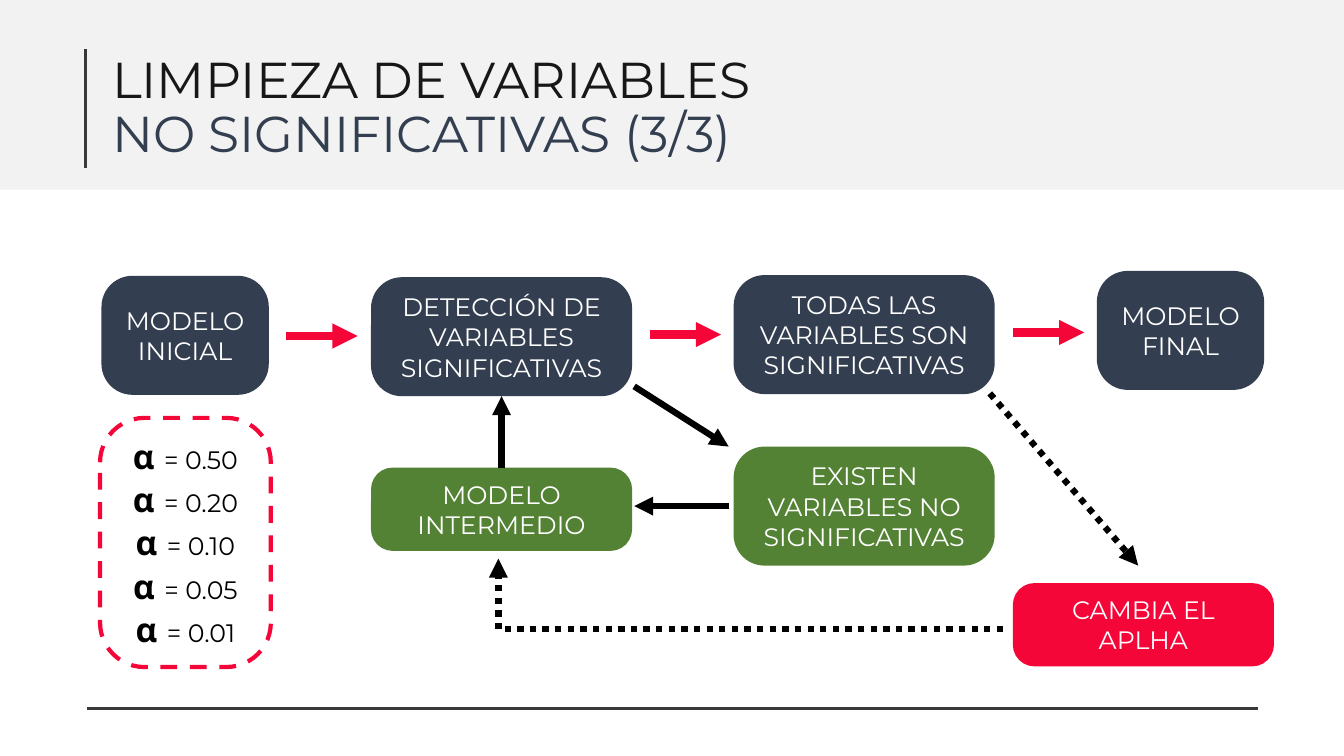
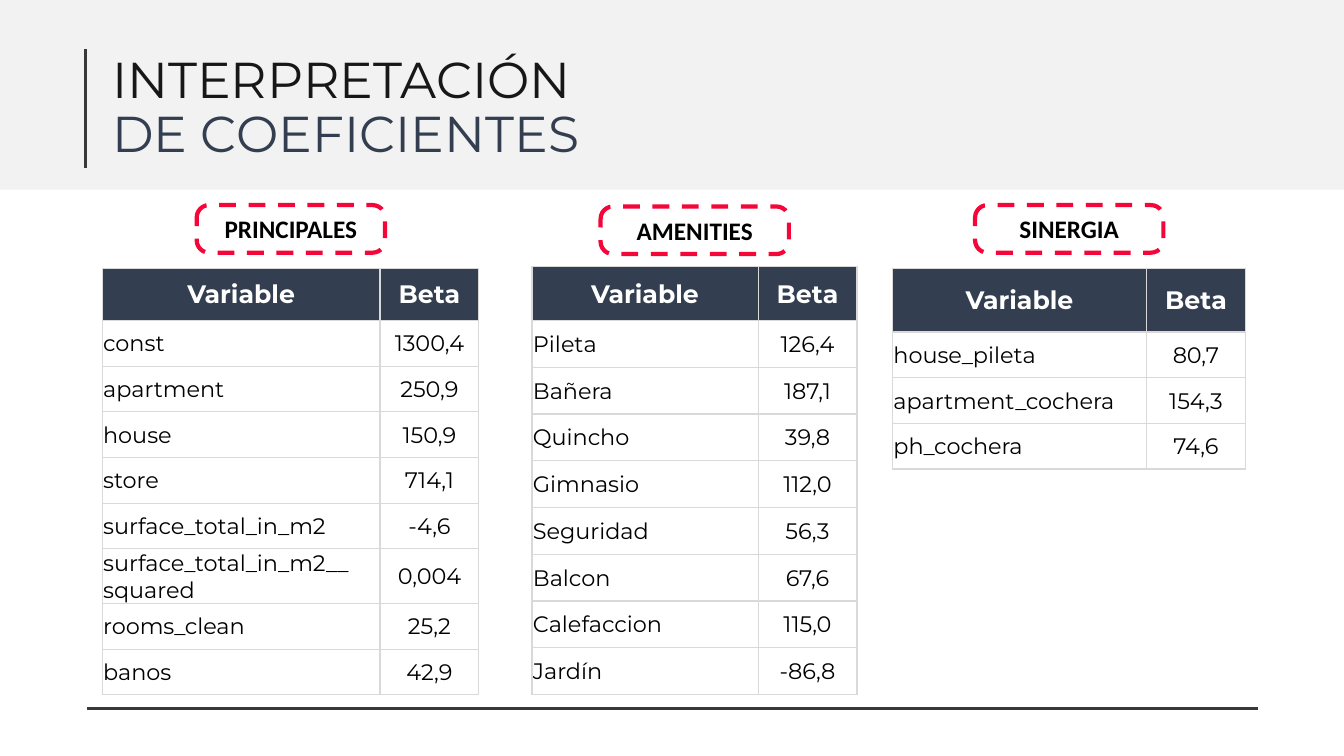
from lxml import etree
from pptx import Presentation
from pptx.dml.color import RGBColor
from pptx.enum import dml, shapes, text
from pptx.oxml.ns import qn
from pptx.util import Pt


class Theme:
    navy = RGBColor.from_string("333F50")
    green = RGBColor.from_string("548235")
    red = RGBColor.from_string("F40639")
    white = RGBColor.from_string("FFFFFF")
    black = RGBColor.from_string("000000")
    band = RGBColor.from_string("F2F2F2")
    rule = RGBColor.from_string("3B3838")
    heading = RGBColor.from_string("181717")
    grid = "D9D9D9"
    font = "Montserrat"
    label_font = "Calibri"
    title_size = Pt(36)
    alpha_size = Pt(24)
    body_size = Pt(18)
    cell_size = Pt(16)


def add_box(page, left, top, width, height, label, fill, dashed=False):
    """Add a rounded box with centred text; a dashed one has a red outline and dark text."""
    box = page.shapes.add_shape(
        shapes.MSO_SHAPE.ROUNDED_RECTANGLE, Pt(left), Pt(top), Pt(width), Pt(height))
    box.adjustments[0] = 0.26
    box.shadow.inherit = False
    box.fill.solid()
    box.fill.fore_color.rgb = fill
    if dashed:
        box.line.color.rgb = Theme.red
        box.line.width = Pt(3)
        box.line.dash_style = dml.MSO_LINE.DASH
    else:
        box.line.fill.background()
    frame = box.text_frame
    frame.word_wrap = True
    frame.vertical_anchor = text.MSO_ANCHOR.MIDDLE
    frame.text = label
    for para in frame.paragraphs:
        para.alignment = text.PP_ALIGN.CENTER
        para.space_after = Pt(2)
        for span in para.runs:
            span.font.name = Theme.font
            span.font.size = Theme.body_size
            span.font.color.rgb = Theme.black if dashed else Theme.white
    return box


def add_line(page, start, end, color, weight, arrow="tailEnd", dash=None):
    """Add a line between two points; arrow names the end with a head, or is None."""
    line = page.shapes.add_connector(
        shapes.MSO_CONNECTOR.STRAIGHT, *(Pt(value) for value in (*start, *end)))
    line.line.color.rgb = color
    line.line.width = Pt(weight)
    if dash:
        line.line.dash_style = dash
    properties = line._element.spPr
    if arrow:
        etree.SubElement(properties.find(qn("a:ln")), qn(f"a:{arrow}"), type="triangle")
    etree.SubElement(properties, qn("a:effectLst"))
    return line


deck = Presentation()
deck.slide_width, deck.slide_height = Pt(960), Pt(540)

# Shared frame: band, title and rules
titles = [
    ("LIMPIEZA DE VARIABLES", "NO SIGNIFICATIVAS (3/3)"),
    ("INTERPRETACIÓN", "DE COEFICIENTES"),
]
pages = []
for title in titles:
    page = deck.slides.add_slide(deck.slide_layouts[6])
    pages.append(page)
    band = page.shapes.add_shape(
        shapes.MSO_SHAPE.RECTANGLE, 0, Pt(-3), deck.slide_width, Pt(138.5))
    band.shadow.inherit = False
    band.fill.solid()
    band.fill.fore_color.rgb = Theme.band
    band.line.fill.background()
    add_line(page, (61, 35), (61, 120), Theme.rule, 2.25, arrow=None)
    add_line(page, (62, 506), (898.5, 506), Theme.rule, 2.25, arrow=None)

    frame = page.shapes.add_textbox(Pt(73), Pt(26), Pt(847), Pt(104)).text_frame
    frame.word_wrap = True
    frame.vertical_anchor = text.MSO_ANCHOR.MIDDLE
    frame.text = "\n".join(title)
    for para, color in zip(frame.paragraphs, (Theme.heading, Theme.navy)):
        para.line_spacing = 0.9
        for span in para.runs:
            span.font.name = Theme.font
            span.font.size = Theme.title_size
            span.font.color.rgb = color
flow_page, table_page = pages

# Cleaning flow
add_box(flow_page, 72.5, 197, 119.5, 85, "MODELO INICIAL", Theme.navy)
detection = add_box(flow_page, 265, 198, 186.5, 85,
                    "DETECCIÓN DE VARIABLES SIGNIFICATIVAS", Theme.navy)
add_box(flow_page, 524, 196.5, 186.5, 85,
        "TODAS LAS VARIABLES SON SIGNIFICATIVAS", Theme.navy)
add_box(flow_page, 783.5, 193.5, 119.5, 85, "MODELO FINAL", Theme.navy)
add_box(flow_page, 524, 319, 186.5, 85,
        "EXISTEN VARIABLES NO SIGNIFICATIVAS", Theme.green)
intermediate = add_box(flow_page, 265, 334, 186.5, 59.5, "MODELO INTERMEDIO", Theme.green)
add_box(flow_page, 723.5, 416.5, 186.5, 59.5, "CAMBIA EL APLHA", Theme.red)

alphas = ["0.50", "0.20", "0.10", "0.05", "0.01"]
alpha_box = add_box(flow_page, 71.5, 298.5, 122, 178,
                    "\n".join("α " for _ in alphas), Theme.white, dashed=True)
for para, alpha in zip(alpha_box.text_frame.paragraphs, alphas):
    para.runs[0].font.size = Theme.alpha_size
    para.runs[0].font.bold = True
    span = para.add_run()
    span.text = f"= {alpha}"
    span.font.name = Theme.font
    span.font.size = Theme.body_size
    span.font.color.rgb = Theme.black

for left, top in [(204.5, 240), (464, 239), (723.5, 237.5)]:
    add_line(flow_page, (left, top), (left + 51, top), Theme.red, 6)
add_line(flow_page, (453, 276), (520.5, 319), Theme.black, 4.5)
add_line(flow_page, (520.5, 361.5), (453, 361.5), Theme.black, 4.5)
loop_arrow = add_line(flow_page, (358, 334), (358, 283), Theme.black, 4.5)
loop_arrow.begin_connect(intermediate, 0)
loop_arrow.end_connect(detection, 2)
add_line(flow_page, (707, 281), (813, 404), Theme.black, 4.5, dash=dml.MSO_LINE.ROUND_DOT)

# The elbow runs left and then up: a half turn of right and then down
elbow = add_line(flow_page, (356, 399), (716.5, 449.5), Theme.black, 4.5,
                 dash=dml.MSO_LINE.ROUND_DOT)
elbow._element.spPr.find(qn("a:prstGeom")).set("prst", "bentConnector2")
elbow._element.spPr.find(qn("a:xfrm")).set("rot", "10800000")

# Coefficient tables: label, label place, table place, name width, row heights, rows
beta_width = 70.6
tables = [
    ("PRINCIPALES", (140.5, 146.5), (73, 191.5), 198.5, 37.5, 32.6, [
        ("const", "1300,4"), ("apartment", "250,9"), ("house", "150,9"),
        ("store", "714,1"), ("surface_total_in_m2", "-4,6"),
        ("surface_total_in_m2__\vsquared", "0,004"),
        ("rooms_clean", "25,2"), ("banos", "42,9")]),
    ("AMENITIES", (429, 147.5), (380, 190.5), 161.5, 38.5, 33.4, [
        ("Pileta", "126,4"), ("Bañera", "187,1"), ("Quincho", "39,8"),
        ("Gimnasio", "112,0"), ("Seguridad", "56,3"), ("Balcon", "67,6"),
        ("Calefaccion", "115,0"), ("Jardín", "-86,8")]),
    ("SINERGIA", (696.5, 146.5), (637.5, 191.5), 181.5, 45.7, 32.6, [
        ("house_pileta", "80,7"), ("apartment_cochera", "154,3"), ("ph_cochera", "74,6")]),
]
for label, label_place, place, name_width, header_height, row_height, rows in tables:
    box = add_box(table_page, *label_place, 134.5, 34, label, Theme.white, dashed=True)
    font = box.text_frame.paragraphs[0].runs[0].font
    font.name = Theme.label_font
    font.bold = True

    rows = [("Variable", "Beta"), *rows]
    height = header_height + row_height * (len(rows) - 1)
    table = table_page.shapes.add_table(
        len(rows), 2, Pt(place[0]), Pt(place[1]),
        Pt(name_width + beta_width), Pt(height)).table
    table.horz_banding = False
    table.columns[0].width = Pt(name_width)
    table.columns[1].width = Pt(beta_width)
    for row_index, row in enumerate(rows):
        header = row_index == 0
        table.rows[row_index].height = Pt(header_height if header else row_height)
        for column_index, value in enumerate(row):
            cell = table.cell(row_index, column_index)
            cell.margin_left = cell.margin_right = cell.margin_top = Pt(0.7)
            cell.margin_bottom = 0
            cell.vertical_anchor = text.MSO_ANCHOR.MIDDLE
            for side in ("lnL", "lnR", "lnT", "lnB"):
                border = etree.SubElement(
                    cell._tc.get_or_add_tcPr(), qn(f"a:{side}"), w=str(Pt(1)))
                solid = etree.SubElement(border, qn("a:solidFill"))
                etree.SubElement(solid, qn("a:srgbClr"), val=Theme.grid)
            cell.fill.solid()
            cell.fill.fore_color.rgb = Theme.navy if header else Theme.white
            cell.text_frame.text = value
            para = cell.text_frame.paragraphs[0]
            if header or column_index == 1:
                para.alignment = text.PP_ALIGN.CENTER
            for span in para.runs:
                span.font.name = Theme.font
                span.font.size = Theme.body_size if header else Theme.cell_size
                span.font.bold = header
                span.font.color.rgb = Theme.white if header else Theme.black

deck.save("out.pptx")
